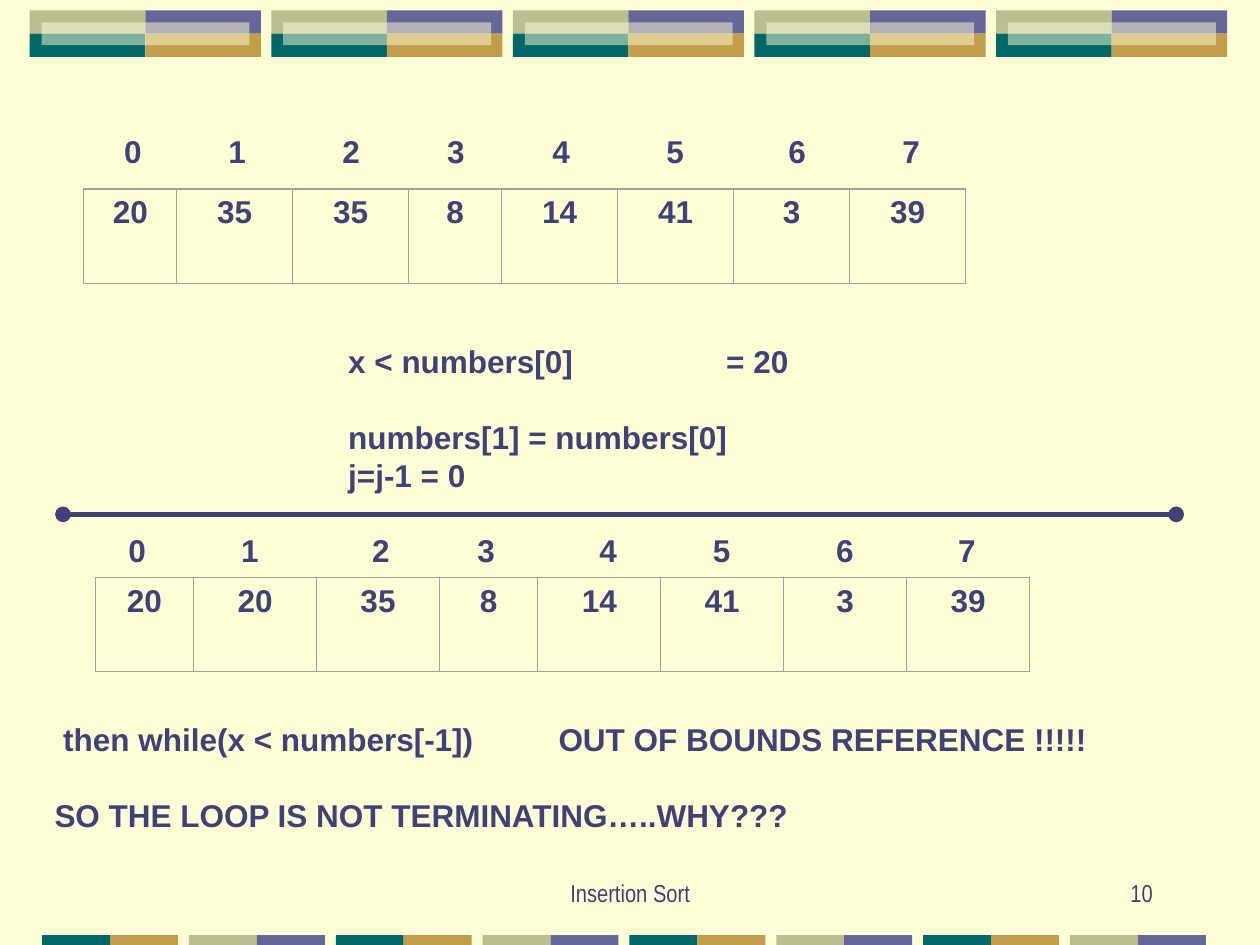
from dataclasses import dataclass

from lxml.etree import SubElement
from pptx import Presentation
from pptx.dml.color import RGBColor as Rgb
from pptx.enum.shapes import MSO_CONNECTOR, MSO_SHAPE
from pptx.enum.text import MSO_ANCHOR as Anchor, PP_ALIGN as Align
from pptx.oxml.ns import qn
from pptx.util import Cm, Pt


@dataclass(frozen=True)
class Theme:
    cream: str = "FEFED6"
    ink: str = "404176"
    grid: str = "A0A0A0"
    purple: str = "666699"
    gold: str = "C09E4A"
    teal: str = "006666"
    sage: str = "BABE90"
    body_font: str = "Arial"
    footer_font: str = "Arial Narrow"
    body_size: int = 18
    footer_size: int = 14
    block_gap: int = 22
    grid_width: float = 0.75
    rule_width: int = 3


THEME = Theme()

# Content: all lengths are in centimetres
INDEXES = "\t" + "\t".join(str(index) for index in range(8))
COLUMN_UNITS = [4, 5, 5, 4, 5, 5, 5, 5]
ARRAYS = [
    {"values": [20, 35, 35, 8, 14, 41, 3, 39], "box": (1.69, 3.81, 17.78, 1.9),
     "index_box": (1.91, 2.54, 17.57, 1.02),
     "centres": [0.52, 2.62, 4.92, 7.03, 9.15, 11.45, 13.91, 16.21]},
    {"values": [20, 20, 35, 8, 14, 41, 3, 39], "box": (1.92, 11.65, 18.84, 1.89),
     "index_box": (2.34, 10.58, 17.98, 1.02),
     "centres": [0.17, 2.45, 5.09, 7.21, 9.67, 11.96, 14.44, 16.9]},
]
# Each line: text, starts a new block
STEP_LINES = [
    ("\tx < numbers[0]\t= 20", False),
    ("\tnumbers[1] = numbers[0]", True),
    ("\tj=j-1 = 0", False),
]
RESULT_LINES = [
    ("\u00a0then while(x < numbers[-1])\tOUT OF BOUNDS REFERENCE !!!!!", False),
    ("SO THE LOOP IS NOT TERMINATING…..WHY???", True),
]
FOOTERS = [
    ("Insertion Sort", (8.68, 17.15, 8.05, 1.27), Align.CENTER),
    ("10", (18.2, 17.15, 5.29, 1.27), Align.RIGHT),
]


def lengths(box):
    return [Cm(value) for value in box]


def add_block(slide, box, color, alpha=None):
    shape = slide.shapes.add_shape(MSO_SHAPE.RECTANGLE, *lengths(box))
    shape.shadow.inherit = False
    shape.fill.solid()
    shape.fill.fore_color.rgb = Rgb.from_string(color)
    shape.line.fill.background()
    if alpha is not None:
        color_element = shape.fill._xPr.find(qn("a:solidFill"))[0]
        SubElement(color_element, qn("a:alpha"), val=str(alpha * 1000))


def add_run(paragraph, text, font=THEME.body_font, size=THEME.body_size, bold=True):
    run = paragraph.add_run()
    run.text = text
    run.font.name, run.font.size, run.font.bold = font, Pt(size), bold
    run.font.color.rgb = Rgb.from_string(THEME.ink)


def set_tabs(paragraph, stops, align):
    tab_list = SubElement(paragraph._p.get_or_add_pPr(), qn("a:tabLst"))
    for stop in stops:
        SubElement(tab_list, qn("a:tab"), pos=str(Cm(stop)), algn=align)


def add_text(slide, box, lines, stops=(), tab_align="l"):
    frame = slide.shapes.add_textbox(*lengths(box)).text_frame
    frame.word_wrap = True
    for number, (text, new_block) in enumerate(lines):
        paragraph = frame.add_paragraph() if number else frame.paragraphs[0]
        if new_block:
            paragraph.space_before = Pt(THEME.block_gap)
        if stops:
            set_tabs(paragraph, stops, tab_align)
        add_run(paragraph, text)


def set_borders(cell):
    properties = cell._tc.get_or_add_tcPr()
    for side in ("lnL", "lnR", "lnT", "lnB"):
        line = SubElement(properties, qn(f"a:{side}"), w=str(Pt(THEME.grid_width)))
        fill = SubElement(line, qn("a:solidFill"))
        SubElement(fill, qn("a:srgbClr"), val=THEME.grid)


def add_array(slide, values, box, index_box, centres):
    add_text(slide, index_box, [(INDEXES, False)], centres, "ctr")
    table = slide.shapes.add_table(1, len(values), *lengths(box)).table
    table.first_row = table.horz_banding = False
    unit = box[2] / sum(COLUMN_UNITS)
    for column, units, cell, value in zip(table.columns, COLUMN_UNITS,
                                          table.rows[0].cells, values):
        column.width = Cm(units * unit)
        set_borders(cell)
        cell.fill.background()
        paragraph = cell.text_frame.paragraphs[0]
        paragraph.alignment = Align.CENTER
        add_run(paragraph, str(value))


def add_top_band(slide):
    width, height, top = 2.33, 0.47, 0.21
    colors = [[THEME.sage, THEME.purple], [THEME.teal, THEME.gold]]
    for number in range(5):
        left = 0.6 + number * 4.87
        for row, row_colors in enumerate(colors):
            for column, color in enumerate(row_colors):
                add_block(slide, (left + column * width, top + row * height,
                                  width, height), color)
        add_block(slide, (left + 0.24, top + 0.24, 4.19, 0.46), THEME.cream, 50)


def add_bottom_band(slide):
    width = 1.37
    pairs = [(THEME.teal, THEME.gold), (THEME.sage, THEME.purple)]
    for number in range(8):
        for column, color in enumerate(pairs[number % 2]):
            left = 0.85 + number * 2.96 + column * width
            add_block(slide, (left, 18.85, width, 0.2), color)


def add_divider(slide):
    divider = slide.shapes.add_connector(
        MSO_CONNECTOR.STRAIGHT, *lengths((1.27, 10.37, 23.71, 10.37)))
    divider.line.color.rgb = Rgb.from_string(THEME.ink)
    divider.line.width = Pt(THEME.rule_width)
    line = divider.line._get_or_add_ln()
    for end in ("headEnd", "tailEnd"):
        SubElement(line, qn(f"a:{end}"), type="oval")
    SubElement(divider._element.spPr, qn("a:effectLst"))


def add_footer(slide, text, box, align):
    frame = slide.shapes.add_textbox(*lengths(box)).text_frame
    frame.word_wrap = True
    frame.vertical_anchor = Anchor.BOTTOM
    paragraph = frame.paragraphs[0]
    paragraph.alignment = align
    add_run(paragraph, text, THEME.footer_font, THEME.footer_size, False)


def main():
    presentation = Presentation()
    presentation.slide_width, presentation.slide_height = Cm(25.4), Cm(19.05)
    slide = presentation.slides.add_slide(presentation.slide_layouts[6])
    slide.background.fill.solid()
    slide.background.fill.fore_color.rgb = Rgb.from_string(THEME.cream)

    # Decorative bands and footer
    add_top_band(slide)
    add_bottom_band(slide)
    for footer in FOOTERS:
        add_footer(slide, *footer)

    # Array before and after the step, with the code between
    before, after = ARRAYS
    add_array(slide, **before)
    add_text(slide, (1.69, 6.77, 16.93, 3.3), STEP_LINES, [5.08, 12.7])
    add_divider(slide)
    add_array(slide, **after)
    add_text(slide, (0.85, 14.39, 21.38, 2.54), RESULT_LINES, [10.16])

    presentation.save("out.pptx")


if __name__ == "__main__":
    main()
